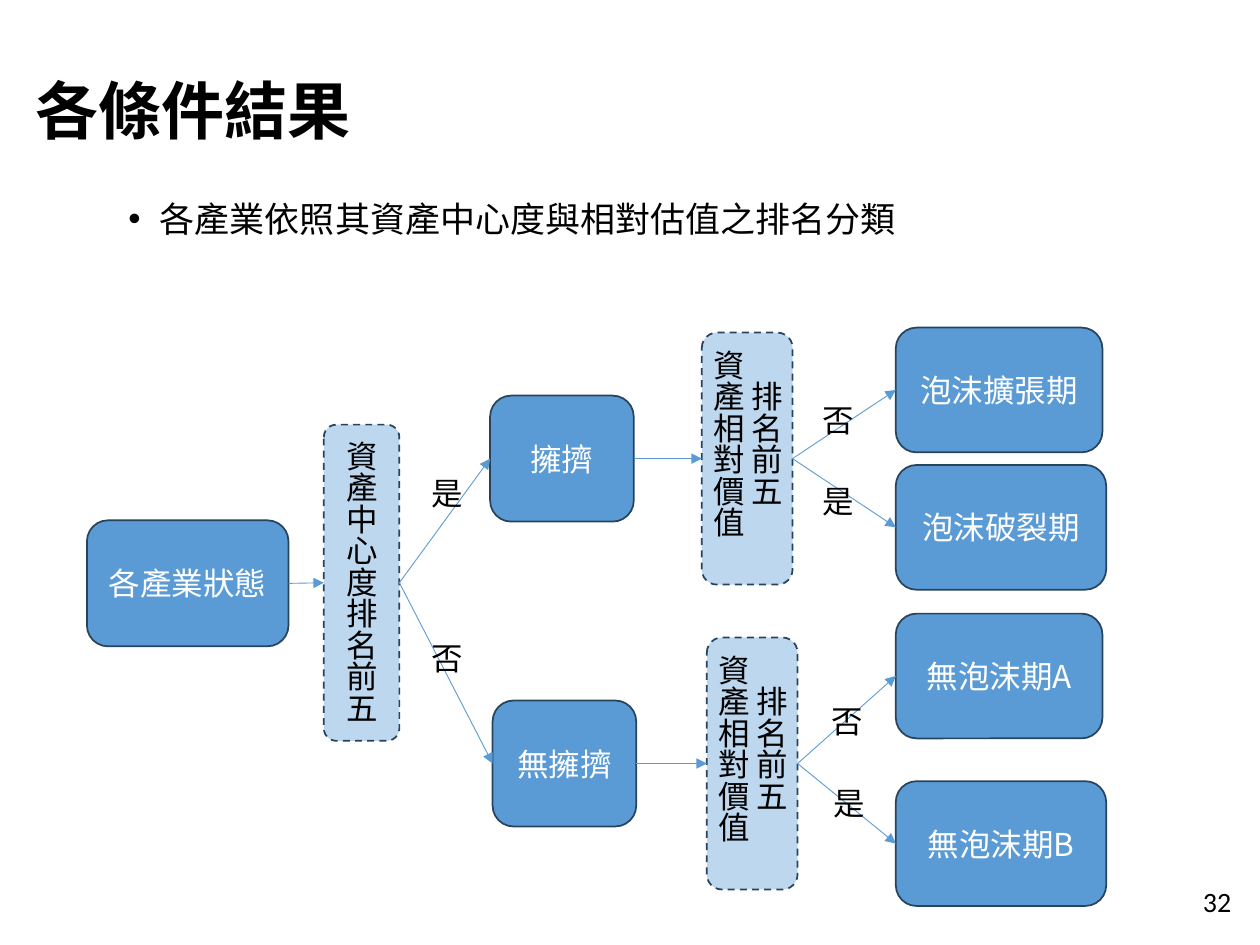
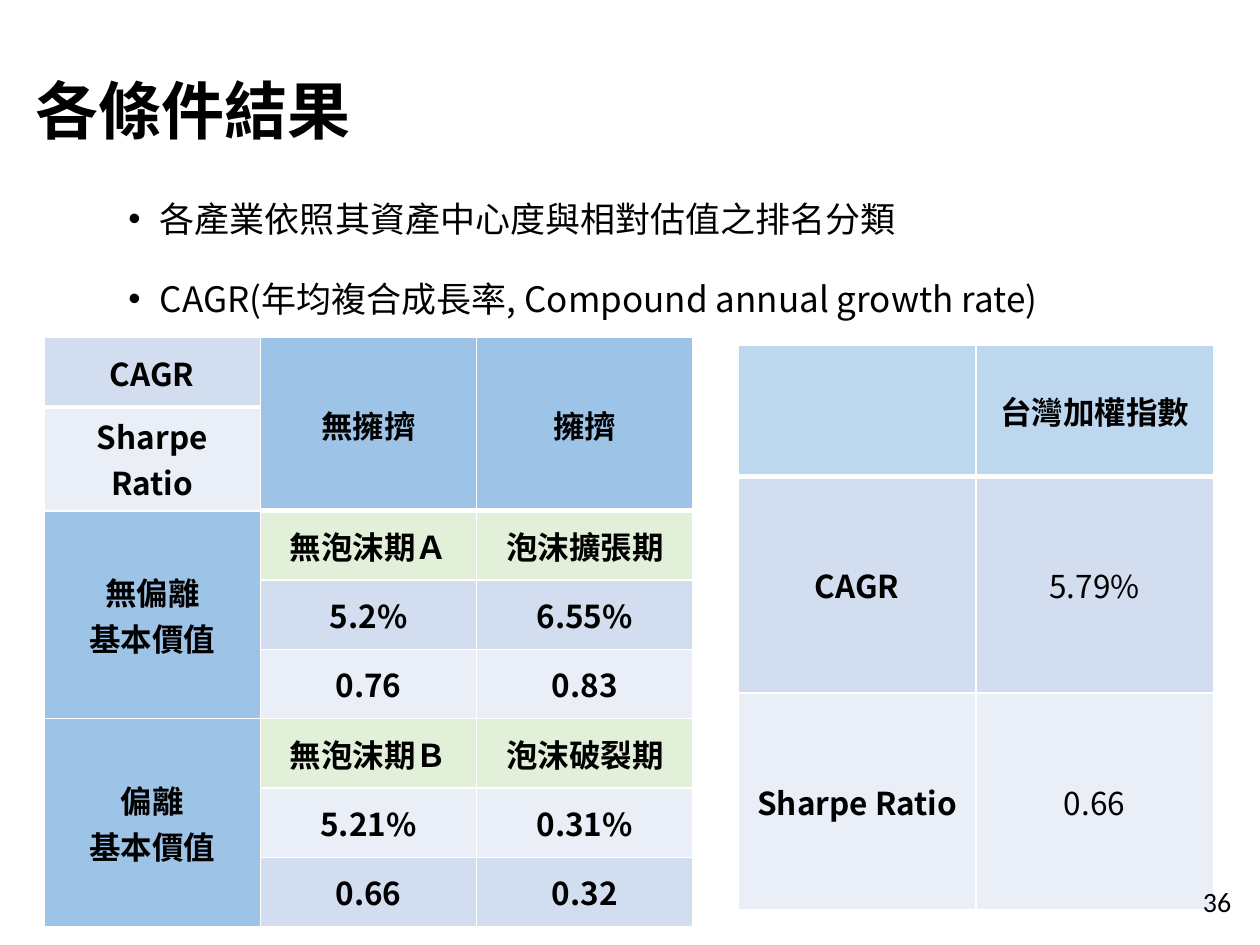
from pptx import Presentation
from pptx.util import Inches, Pt
from pptx.dml.color import RGBColor
from pptx.enum.dml import MSO_LINE as Dash
from pptx.enum.shapes import MSO_CONNECTOR as Link, MSO_SHAPE as Form
from pptx.enum.text import MSO_ANCHOR as Anchor, PP_ALIGN as Align
from pptx.oxml.ns import qn
from lxml.etree import SubElement as Sub

BLUE, PALE, EDGE, MID = "5B9BD5", "BDD7EE", "28445D", "9DC3E6"
GREEN, BAND, LIGHT, WHITE = "E2F0D9", "D2DEEF", "EAEFF7", "FFFFFF"
TC, SC = "Noto Sans CJK TC", "Noto Sans CJK SC"
CELLS = 10
TOPIC = "各產業依照其資產中心度與相對估值之排名分類"
RATE = "CAGR(年均複合成長率, Compound annual growth rate)"


def grid(*steps):
    return [Inches(step / CELLS) for step in steps]


def tint(code):
    return RGBColor.from_string(code)


def apply(item, form):
    for key, val in form.items():
        setattr(item, key, val)


def write(frame, lines, size=18, face=TC, ink="000000", bold=False, **form):
    frame.word_wrap = True
    for i, line in enumerate(lines):
        para = frame.add_paragraph() if i else frame.paragraphs[0]
        apply(para, form)
        run = para.add_run()
        run.text = line
        apply(run.font, dict(size=Pt(size), name=face, bold=bold))
        run.font.color.rgb = tint(ink)
        Sub(run._r.get_or_add_rPr(), qn("a:ea"), typeface=face)


def label(slide, text, place, **form):
    box = slide.shapes.add_textbox(*grid(*place))
    write(box.text_frame, [text], **form)
    return box


def block(slide, place, lines, fill=BLUE, ink=WHITE):
    box = slide.shapes.add_shape(Form.ROUNDED_RECTANGLE, *grid(*place))
    box.shadow.inherit = False
    box.fill.solid()
    box.fill.fore_color.rgb = tint(fill)
    box.line.color.rgb = tint(EDGE)
    box.line.width = Pt(1)
    box.text_frame.vertical_anchor = Anchor.MIDDLE
    write(box.text_frame, lines, ink=ink, alignment=Align.CENTER)
    return box


def test(slide, place, lines):
    box = block(slide, place, lines, PALE, "000000")
    box.line.dash_style = Dash.DASH
    box.element.txBody.bodyPr.set("vert", "eaVert")
    if len(lines) > 1:
        box.text_frame.margin_bottom = Inches(0.27)
    return box


def arrow(slide, start, end):
    line = slide.shapes.add_connector(Link.STRAIGHT, 0, 0, 0, 0)
    line.begin_connect(start, 3)
    line.end_connect(end, 1)
    line.line.color.rgb = tint(BLUE)
    line.line.width = Pt(0.5)
    Sub(line.line._get_or_add_ln(), qn("a:tailEnd"), type="triangle")
    Sub(line.element.spPr, qn("a:effectLst"))


def bullets(slide, lines):
    box = slide.shapes.add_textbox(*grid(9.2, 13.5, 90, 51.3))
    write(box.text_frame, lines, 20, SC, line_spacing=1.5)
    for i, para in enumerate(box.text_frame.paragraphs):
        if i:
            para.space_before = Pt(10)
        props = para._p.get_or_add_pPr()
        props.set("marL", str(Inches(0.25)))
        props.set("indent", str(-Inches(0.25)))
        Sub(props, qn("a:buFont"), typeface="Arial")
        Sub(props, qn("a:buChar"), char="•")


def page(deck):
    slide = deck.slides.add_slide(deck.slide_layouts[5])
    title = slide.shapes.title
    apply(title, dict(zip(("left", "top", "width", "height"),
                          grid(1.8, 3.1, 29.5, 11.9))))
    title.text_frame.vertical_anchor = Anchor.MIDDLE
    write(title.text_frame, ["各條件結果"], 36, SC, bold=True,
          alignment=Align.LEFT, line_spacing=0.9)
    return slide


def finish(slide, number, lines):
    bullets(slide, lines)
    foot = label(slide, number, (76.2, 69.5, 22.5, 4), size=16,
                 face="Calibri", alignment=Align.RIGHT)
    foot.text_frame.vertical_anchor = Anchor.MIDDLE


def border(cell, side, width):
    props = cell._tc.get_or_add_tcPr()
    line = Sub(props, qn("a:" + side), w=str(Pt(width)))
    Sub(Sub(line, qn("a:solidFill")), qn("a:srgbClr"), val=WHITE)
    props.insert(0, line)


def table(slide, place, rows, fills, highs, plain=()):
    tab = slide.shapes.add_table(len(rows), len(rows[0]), *grid(*place)).table
    for r, (row, high) in enumerate(zip(rows, highs)):
        tab.rows[r].height = Inches(high)
        for c, text in enumerate(row):
            cell = tab.cell(r, c)
            cell.fill.solid()
            cell.fill.fore_color.rgb = tint(fills[r][c])
            cell.vertical_anchor = Anchor.MIDDLE
            if r == 0:
                border(cell, "lnB", 3)
            if text:
                write(cell.text_frame, text.split("\n"),
                      bold=(r, c) not in plain, alignment=Align.CENTER)
    return tab


def branch(slide, start, step, check, ends):
    arrow(slide, start, step)
    arrow(slide, step, check)
    for end in ends:
        arrow(slide, check, end)


def flow(deck):
    slide = page(deck)
    root = block(slide, (6.9, 41.3, 16, 10), ["各產業狀態"])
    rank = test(slide, (25.7, 33.7, 6, 25.1), ["資產中心度排名前五"])
    arrow(slide, root, rank)
    value = ["排名前五", "資產相對價值"]
    tracks = [
        ("擁擠", 38.9, 31.4, 55.7, 26.4,
         [("泡沫擴張期", 16.4, 26), ("泡沫破裂期", 16.7, 36.9)]),
        ("無擁擠", 39.1, 55.6, 56.1, 50.6,
         [("無泡沫期A", 16.4, 48.7), ("無泡沫期B", 16.7, 62)]),
    ]
    for name, x, y, left, top, ends in tracks:
        step = block(slide, (x, y, 11.4, 10), [name])
        check = test(slide, (left, top, 7.2, 20), value)
        phases = [block(slide, (71.1, high, wide, 9.9), [phase])
                  for phase, wide, high in ends]
        branch(slide, rank, step, check, phases)
    for text, x, y in [("是", 33.3, 37.1), ("否", 33.3, 50.2),
                       ("否", 64.3, 31.3), ("是", 64.3, 37.8),
                       ("否", 65, 55.2), ("是", 65.2, 61.7)]:
        label(slide, text, (x, y, 3.8, 4.1))
    finish(slide, "32", [TOPIC])


def results(deck):
    slide = page(deck)
    rows = [
        ("CAGR", "無擁擠", "擁擠"),
        ("Sharpe Ratio", "", ""),
        ("無偏離\n基本價值", "無泡沫期Ａ", "泡沫擴張期"),
        ("", "5.2%", "6.55%"),
        ("", "0.76", "0.83"),
        ("偏離\n基本價值", "無泡沫期Ｂ", "泡沫破裂期"),
        ("", "5.21%", "0.31%"),
        ("", "0.66", "0.32"),
    ]
    body = [GREEN, BAND, LIGHT, GREEN, LIGHT, BAND]
    fills = [(BAND, MID, MID), (LIGHT, MID, MID)]
    fills += [(MID, hue, hue) for hue in body]
    tab = table(slide, (3.5, 26.8, 51.5, 46.6), rows, fills,
                [0.55, 0.82] + [0.55] * 6)
    for top, low, col in [(0, 1, 1), (0, 1, 2), (2, 4, 0), (5, 7, 0)]:
        tab.cell(top, col).merge(tab.cell(low, col))
    table(slide, (58.6, 27.4, 37.7, 44.8),
          [("", "台灣加權指數"), ("CAGR", "5.79%"), ("Sharpe Ratio", "0.66")],
          [(hue, hue) for hue in (PALE, BAND, LIGHT)],
          [1.04, 1.72, 1.72], plain=[(1, 1), (2, 1)])
    finish(slide, "36", [TOPIC, RATE])


def main():
    deck = Presentation()
    deck.slide_width, deck.slide_height = grid(100, 75)
    flow(deck)
    results(deck)
    deck.save("out.pptx")


if __name__ == "__main__":
    main()
